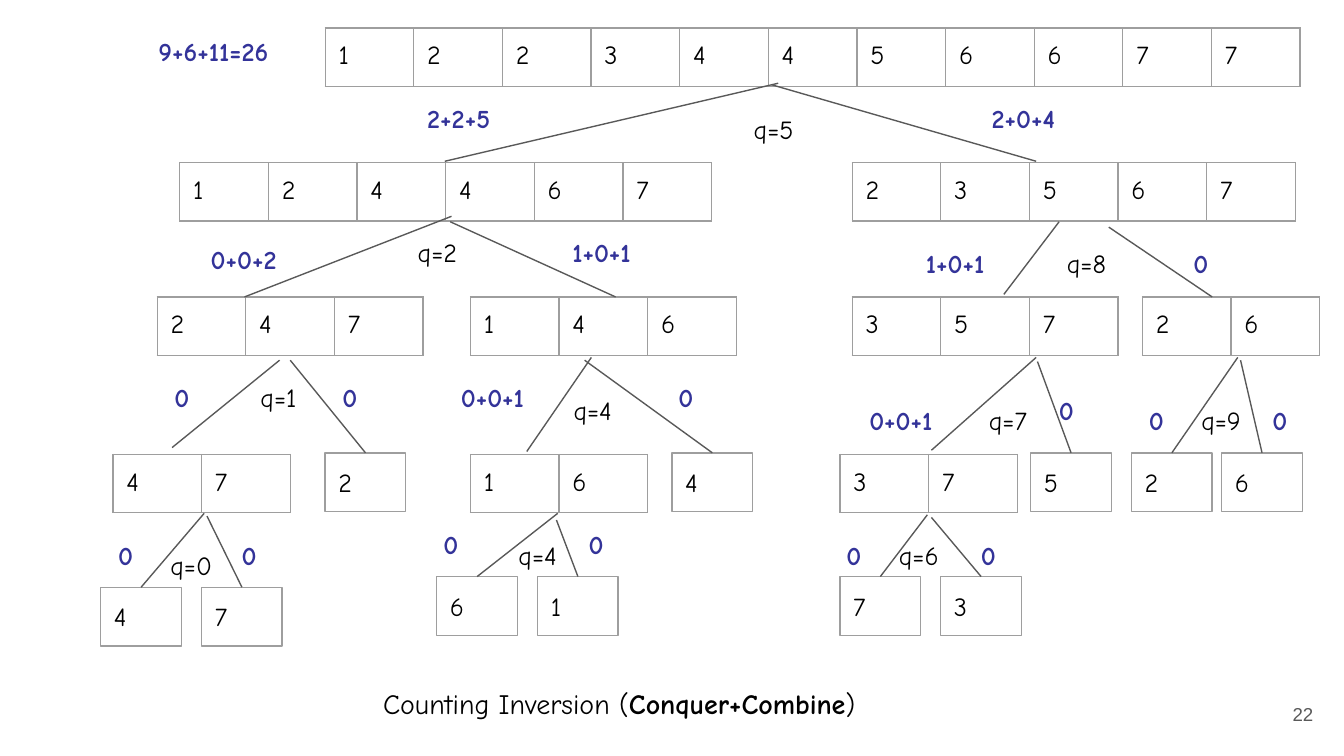
from dataclasses import dataclass
from typing import Optional

import pptx
import pptx.dml.color
import pptx.enum.shapes
import pptx.enum.text
import pptx.oxml
import pptx.oxml.ns
import pptx.util

Pt = pptx.util.Pt
ANCHOR = pptx.enum.text.MSO_ANCHOR
ALIGN = pptx.enum.text.PP_ALIGN


@dataclass(frozen=True)
class Theme:
    hand_font: str = "Comic Neue"
    number_font: str = "Arial"
    ink: str = "000000"
    cost: str = "333399"
    branch: str = "595959"
    border: str = "9E9E9E"
    title_size: float = 15
    body_size: float = 14
    number_size: float = 10
    line: float = 0.75
    inset: float = 7.2


@dataclass(frozen=True)
class Box:
    left: float
    top: float
    width: float
    height: float

    def inner(self, x, y, width, height):
        return Box(self.left + x, self.top + y, width, height)

    def lengths(self):
        return [Pt(v) for v in (self.left, self.top, self.width, self.height)]


@dataclass(frozen=True)
class Node:
    """One sorted array; all places are relative to its region's box."""
    values: str
    at: tuple
    cost: str
    cost_at: tuple
    cost_width: float = 43.2
    start: Optional[tuple] = None
    end: Optional[tuple] = None
    split: str = ""
    split_at: tuple = ()


THEME = Theme()
CELL_WIDTH, CELL_HEIGHT = 47.5, 30.5
LEAF_WIDTH, LEAF_HEIGHT = 43.2, 31.5

ROOT = [
    Node("1 2 2 3 4 4 5 6 6 7 7", (102.2, 4), "9+6+11=26", (5.8, 0.5), 105.8,
         split="q=5", split_at=(324.7, 42.3)),
]
LEFT_HALF = [
    Node("1 2 4 4 6 7", (42.3, 43.1), "2+2+5", (167.8, 3.5), 105.8,
         (362.9, 0.6), (184.3, 42.4), "q=2", (162.7, 75.5)),
    Node("2 4 7", (30.2, 115.1), "0+0+2", (51.8, 79.1), 113,
         (187.9, 71.9), (77, 115.1), "q=1", (78.5, 153.3)),
    Node("1 4 6", (198, 115.1), "1+0+1", (245.5, 75.5), 105.8,
         (187.2, 74.8), (275.8, 115.1), "q=4", (246.2, 159.8)),
    Node("4 7", (6.5, 199.4), "0", (32.4, 153.3),
         start=(95.8, 149), end=(38.2, 195.8), split="q=0", split_at=(30.2, 243.3)),
    Node("2", (120.2, 198.6), "0", (122.4, 153.3), start=(101.5, 149)),
    Node("1 6", (198, 199.4), "0+0+1", (185.8, 153.3), 105.8,
         (262.8, 147.5), (228.2, 197.9), "q=4", (216.7, 237.5)),
    Node("4", (306, 198.6), "0", (302.4, 153.3), start=(259.2, 149)),
    Node("4", (0, 270.6), "0", (2.2, 237.5), start=(55.4, 231)),
    Node("7", (54, 270.6), "0", (68.4, 237.5), start=(56.9, 232.5)),
    Node("6", (180, 264.9), "0", (176.4, 231.8), start=(244.8, 231)),
    Node("1", (234, 264.9), "0", (254.2, 231.8), start=(244.1, 234.6)),
]
RIGHT_HALF = [
    Node("2 3 5 6 7", (46.5, 43.1), "2+0+4", (114.2, 3.5), 77,
         (3.3, 1.4), (145.1, 42.4), "q=8", (154.5, 81.3)),
    Node("3 5 7", (46.5, 115.1), "1+0+1", (78.9, 81.3), 85,
         (157.4, 74.8), (127.8, 113.7), "q=7", (112.7, 165.5)),
    Node("2 6", (202, 115.1), "0", (222.2, 81.3),
         start=(184, 77.7), end=(239.4, 115.1), split="q=9", split_at=(226.5, 165.5)),
    Node("3 7", (40, 199.4), "0+0+1", (48.6, 165.5), 85,
         (145.1, 147.5), (89, 197.2), "q=6", (64.5, 237.5)),
    Node("5", (142.2, 198.6), "0", (150.2, 159.8), start=(145.8, 149.7)),
    Node("2", (196.2, 198.6), "0", (198.4, 165.5), start=(253.1, 147.5)),
    Node("6", (244.5, 198.6), "0", (264.6, 165.5), start=(254.6, 149)),
    Node("7", (40, 264.9), "0", (36.4, 237.5), start=(86.8, 231.8)),
    Node("3", (94, 264.9), "0", (108.4, 237.5), start=(89, 233.2)),
]


def rgb(value):
    return pptx.dml.color.RGBColor.from_string(value)


def style_font(font, color=THEME.ink, size=THEME.body_size, name=THEME.hand_font, bold=False):
    font.name, font.size, font.bold = name, Pt(size), bold
    font.color.rgb = rgb(color)


def write(frame, text, anchor=ANCHOR.TOP, align=ALIGN.LEFT, **font):
    frame.word_wrap = True
    frame.margin_left = frame.margin_right = Pt(THEME.inset)
    frame.margin_top = frame.margin_bottom = Pt(THEME.inset)
    frame.vertical_anchor = anchor
    frame.text = text
    paragraph = frame.paragraphs[0]
    paragraph.alignment = align
    style_font(paragraph.runs[0].font, **font)


def add_label(slide, box, text, **style):
    write(slide.shapes.add_textbox(*box.lengths()).text_frame, text, **style)


def add_cell_borders(cell):
    properties = cell._tc.get_or_add_tcPr()
    for index, side in enumerate(("lnL", "lnR", "lnT", "lnB")):
        properties.insert(index, pptx.oxml.parse_xml(
            f'<a:{side} {pptx.oxml.ns.nsdecls("a")} w="{Pt(THEME.line)}">'
            f'<a:solidFill><a:srgbClr val="{THEME.border}"/></a:solidFill></a:{side}>'))


def add_array(slide, box, values):
    table = slide.shapes.add_table(1, len(values), *box.lengths()).table
    table.first_row = table.horz_banding = False
    for column, cell, value in zip(table.columns, table.rows[0].cells, values):
        column.width = Pt(CELL_WIDTH)
        cell.margin_left = cell.margin_right = Pt(THEME.inset)
        cell.margin_top = cell.margin_bottom = Pt(THEME.inset)
        cell.text = value
        style_font(cell.text_frame.paragraphs[0].runs[0].font)
        cell.fill.background()
        add_cell_borders(cell)


def add_leaf(slide, box, value):
    leaf = slide.shapes.add_shape(pptx.enum.shapes.MSO_SHAPE.RECTANGLE, *box.lengths())
    leaf.shadow.inherit = False
    leaf.fill.background()
    leaf.line.color.rgb = rgb(THEME.border)
    leaf.line.width = Pt(THEME.line)
    write(leaf.text_frame, value)
    return leaf


def add_branch(slide, box, start, end, leaf=None):
    branch = slide.shapes.add_connector(
        pptx.enum.shapes.MSO_CONNECTOR.STRAIGHT,
        Pt(box.left + start[0]), Pt(box.top + start[1]),
        Pt(box.left + end[0]), Pt(box.top + end[1]))
    if leaf is not None:
        branch.end_connect(leaf, 0)
    branch.line.color.rgb = rgb(THEME.branch)
    branch.line.width = Pt(THEME.line)
    branch._element.spPr.append(
        pptx.oxml.parse_xml(f'<a:effectLst {pptx.oxml.ns.nsdecls("a")}/>'))


def draw_tree(slide, box, nodes):
    for node in nodes:
        values = node.values.split()
        leaf, end = None, node.end
        if len(values) == 1:
            leaf = add_leaf(slide, box.inner(*node.at, LEAF_WIDTH, LEAF_HEIGHT), values[0])
            end = (node.at[0] + LEAF_WIDTH / 2, node.at[1])
        else:
            add_array(slide, box.inner(*node.at, CELL_WIDTH * len(values), CELL_HEIGHT), values)
        if node.start:
            add_branch(slide, box, node.start, end, leaf)
        if node.split:
            add_label(slide, box.inner(*node.split_at, LEAF_WIDTH, LEAF_HEIGHT), node.split)
        add_label(slide, box.inner(*node.cost_at, node.cost_width, LEAF_HEIGHT), node.cost,
                  color=THEME.cost, bold=True)


def draw_title(slide, box):
    title = slide.shapes.title
    title.left, title.top, title.width, title.height = box.lengths()
    write(title.text_frame, "Counting Inversion (", size=THEME.title_size)
    for text, bold in (("Conquer+Combine", True), (")", False)):
        run = title.text_frame.paragraphs[0].add_run()
        run.text = text
        style_font(run.font, size=THEME.title_size, bold=bold)


def main():
    deck = pptx.Presentation()
    deck.slide_width, deck.slide_height = Pt(720), Pt(405)
    slide = deck.slides.add_slide(deck.slide_layouts[5])
    draw_title(slide, Box(198, 360.7, 309.6, 37.4))
    add_label(slide, Box(667.4, 367.2, 43.2, 31), "22", anchor=ANCHOR.MIDDLE, align=ALIGN.RIGHT,
              color=THEME.branch, size=THEME.number_size, name=THEME.number_font)
    draw_tree(slide, Box(72, 11, 630, 76), ROOT)
    draw_tree(slide, Box(54, 44, 363, 303), LEFT_HALF)
    draw_tree(slide, Box(410, 44, 308, 297), RIGHT_HALF)
    deck.save("out.pptx")


if __name__ == "__main__":
    main()
